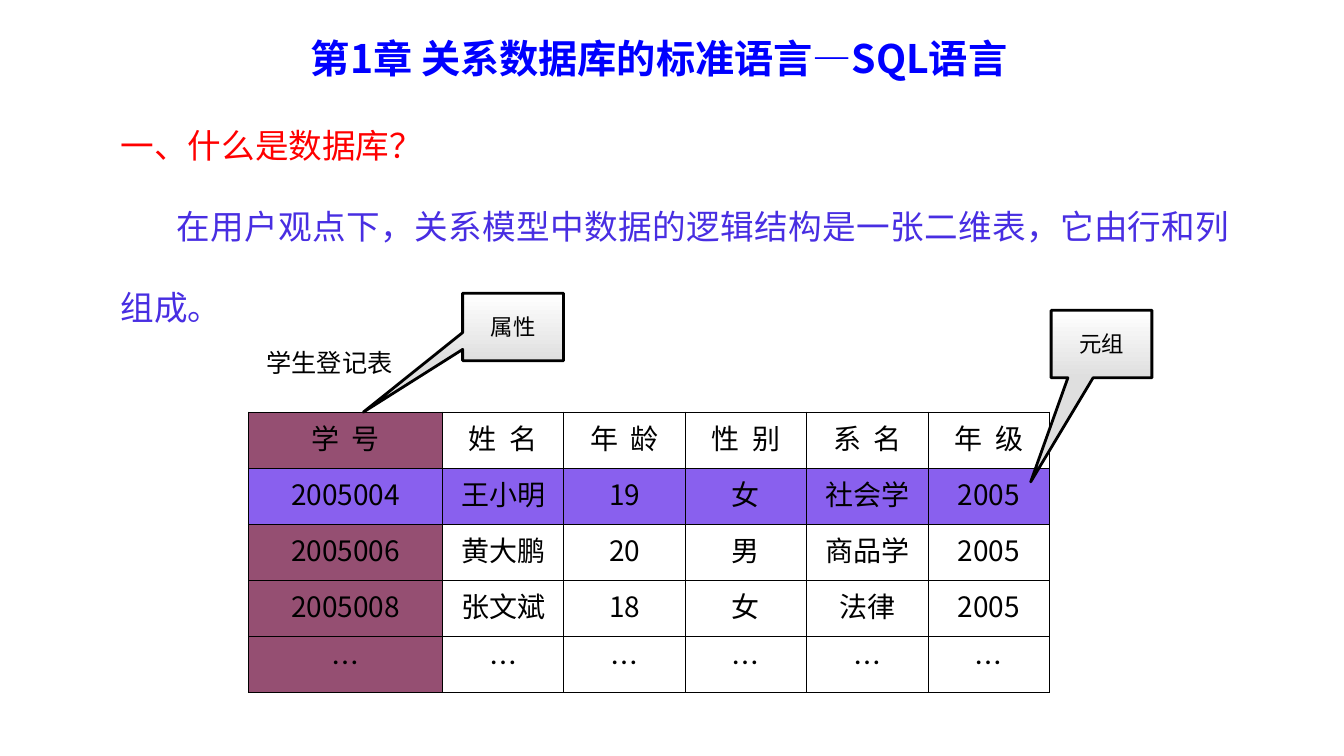
from lxml.etree import SubElement as Sub
from pptx import Presentation
from pptx.dml.color import RGBColor as Rgb
from pptx.enum.shapes import MSO_SHAPE as Shape
from pptx.enum.text import MSO_ANCHOR as Anchor, MSO_AUTO_SIZE as Auto, PP_ALIGN as Align
from pptx.oxml import parse_xml
from pptx.oxml.ns import nsdecls, qn
from pptx.util import Cm, Pt

FONT = "Noto Sans CJK SC"
HUES = {
    "black": "000000", "white": "FFFFFF", "grey": "DFDFDF", "blue": "0000FF",
    "red": "FF0000", "violet": "482EE2", "plum": "954F72", "lilac": "8960EE",
}
TITLE = "第1章 关系数据库的标准语言—SQL语言"
BODY = [
    ("一、什么是数据库？", "red", 1.4, 0),
    ("在用户观点下，关系模型中数据的逻辑结构是一张二维表，它由行和列组成。", "violet", 2.0, 1.4),
]
LABEL = "学生登记表"
ROWS = [
    ("学  号", "姓  名", "年  龄", "性  别", "系  名", "年  级"),
    ("2005004", "王小明", "19", "女", "社会学", "2005"),
    ("2005006", "黄大鹏", "20", "男", "商品学", "2005"),
    ("2005008", "张文斌", "18", "女", "法律", "2005"),
    ("…",) * 6,
]
CALLS = [
    ("属性", 11.66, 7.39, (-1.486, 1.263)),
    ("元组", 26.49, 7.82, (-0.703, 2.044)),
]
KEY_W, COL_W, ROW_H = 4.88, 3.06, 1.41
TUPLE_ROW = 1


def hue(name):
    return Rgb.from_string(HUES[name])


def style(para, size, tint="black", align=Align.CENTER, bold=False):
    para.alignment = align
    font = para.font
    font.size, font.bold, font.name = Pt(size), bold, FONT
    font.color.rgb = hue(tint)
    props = para._p.pPr.find(qn("a:defRPr"))
    Sub(props, qn("a:ea"), typeface=FONT)


def place(shape, *box):
    shape.left, shape.top, shape.width, shape.height = map(Cm, box)


def edge(cell):
    props = cell._tc.get_or_add_tcPr()
    for spot, side in enumerate("LRTB"):
        props.insert(spot, parse_xml(
            f'<a:ln{side} {nsdecls("a")} w="12700"><a:solidFill>'
            f'<a:srgbClr val="{HUES["black"]}"/></a:solidFill></a:ln{side}>'))


def add_head(slide):
    title = slide.shapes.title
    place(title, 4.09, 0.74, 25.04, 1.45)
    title.text_frame.text = TITLE
    title.text_frame.auto_size = Auto.NONE
    style(title.text_frame.paragraphs[0], 28, "blue", bold=True)


def add_body(slide):
    body = slide.placeholders[1]
    place(body, 2.79, 2.62, 28.47, 5.79)
    frame = body.text_frame
    frame.text = "\n".join(item[0] for item in BODY)
    frame.auto_size = Auto.NONE
    for para, (_, tint, space, indent) in zip(frame.paragraphs, BODY):
        props = para._p.get_or_add_pPr()
        props.set("marL", "0")
        props.set("indent", str(Cm(indent)))
        para.line_spacing = space
        para.space_before = Pt(0)
        Sub(props, qn("a:buNone"))
        style(para, 24, tint, Align.JUSTIFY)


def add_grid(slide):
    count = len(ROWS[0])
    size = Cm(KEY_W + COL_W * (count - 1)), Cm(ROW_H * len(ROWS))
    table = slide.shapes.add_table(len(ROWS), count, Cm(6.27), Cm(10.39), *size).table
    table.first_row = table.horz_banding = False
    for i, col in enumerate(table.columns):
        col.width = Cm(COL_W if i else KEY_W)
    for r, row in enumerate(ROWS):
        table.rows[r].height = Cm(ROW_H)
        for c, text in enumerate(row):
            cell = table.cell(r, c)
            cell.text = text
            style(cell.text_frame.paragraphs[0], 20)
            if r == TUPLE_ROW or c == 0:
                cell.fill.solid()
                cell.fill.fore_color.rgb = hue("lilac" if r == TUPLE_ROW else "plum")
            else:
                cell.fill.background()
            edge(cell)


def add_label(slide):
    box = slide.shapes.add_textbox(Cm(6.45), Cm(8.64), Cm(3.71), Cm(1.02))
    box.text_frame.word_wrap = False
    box.text_frame.text = LABEL
    style(box.text_frame.paragraphs[0], 18)


def add_call(slide, text, left, top, tip):
    call = slide.shapes.add_shape(
        Shape.RECTANGULAR_CALLOUT, Cm(left), Cm(top), Cm(2.54), Cm(1.7))
    for i, value in enumerate(tip):
        call.adjustments[i] = value
    call.shadow.inherit = False
    call.fill.gradient()
    call.fill.gradient_angle = 270
    for stop, name in zip(call.fill.gradient_stops, ("white", "grey")):
        stop.color.rgb = hue(name)
    call.line.color.rgb = hue("black")
    call.line.width = Pt(2)
    call.text_frame.text = text
    call.text_frame.vertical_anchor = Anchor.MIDDLE
    style(call.text_frame.paragraphs[0], 16)


def main():
    deck = Presentation()
    deck.slide_width, deck.slide_height = Cm(33.87), Cm(19.05)
    slide = deck.slides.add_slide(deck.slide_layouts[1])
    add_head(slide)
    add_body(slide)
    add_grid(slide)
    add_label(slide)
    for call in CALLS:
        add_call(slide, *call)
    deck.save("out.pptx")


if __name__ == "__main__":
    main()
